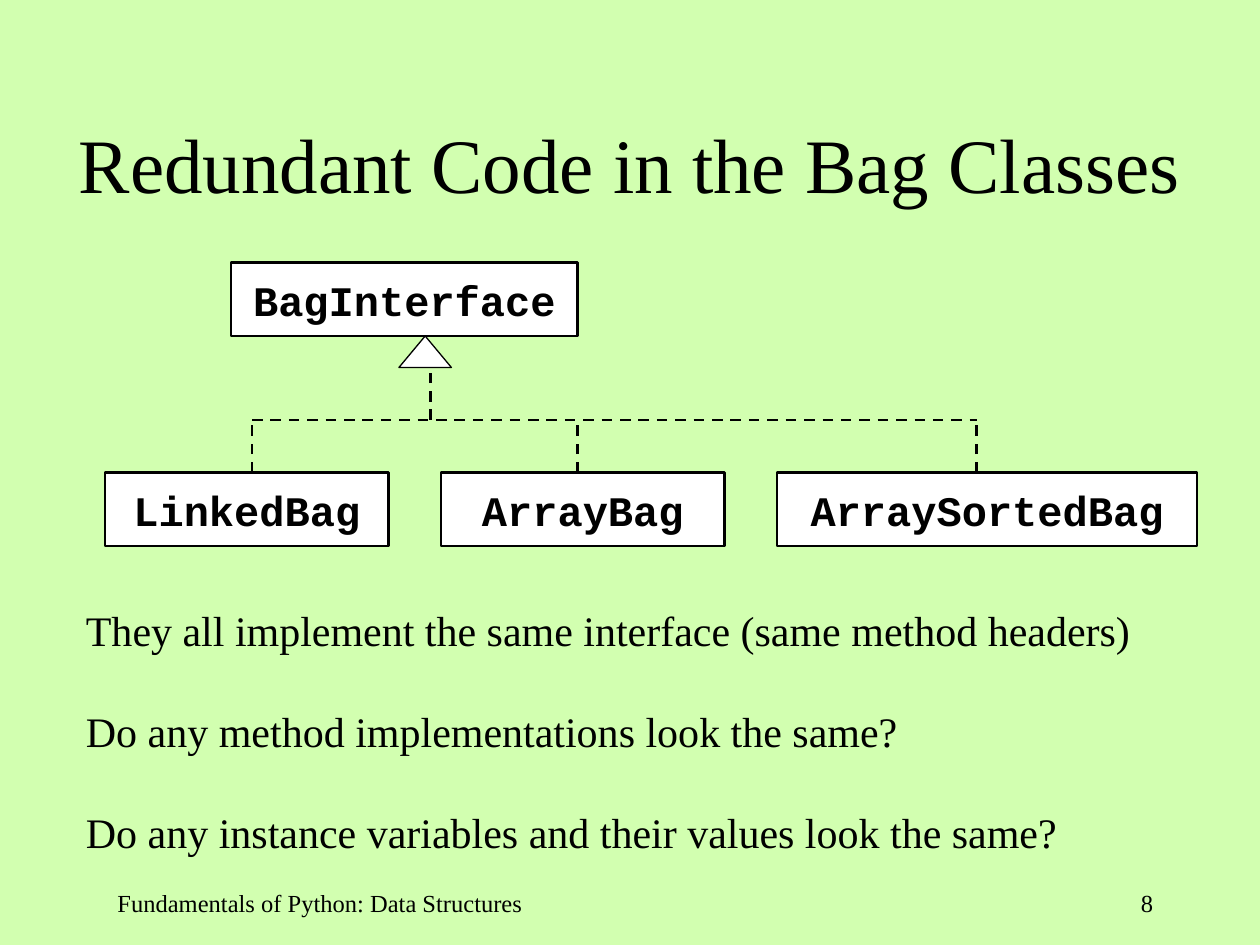
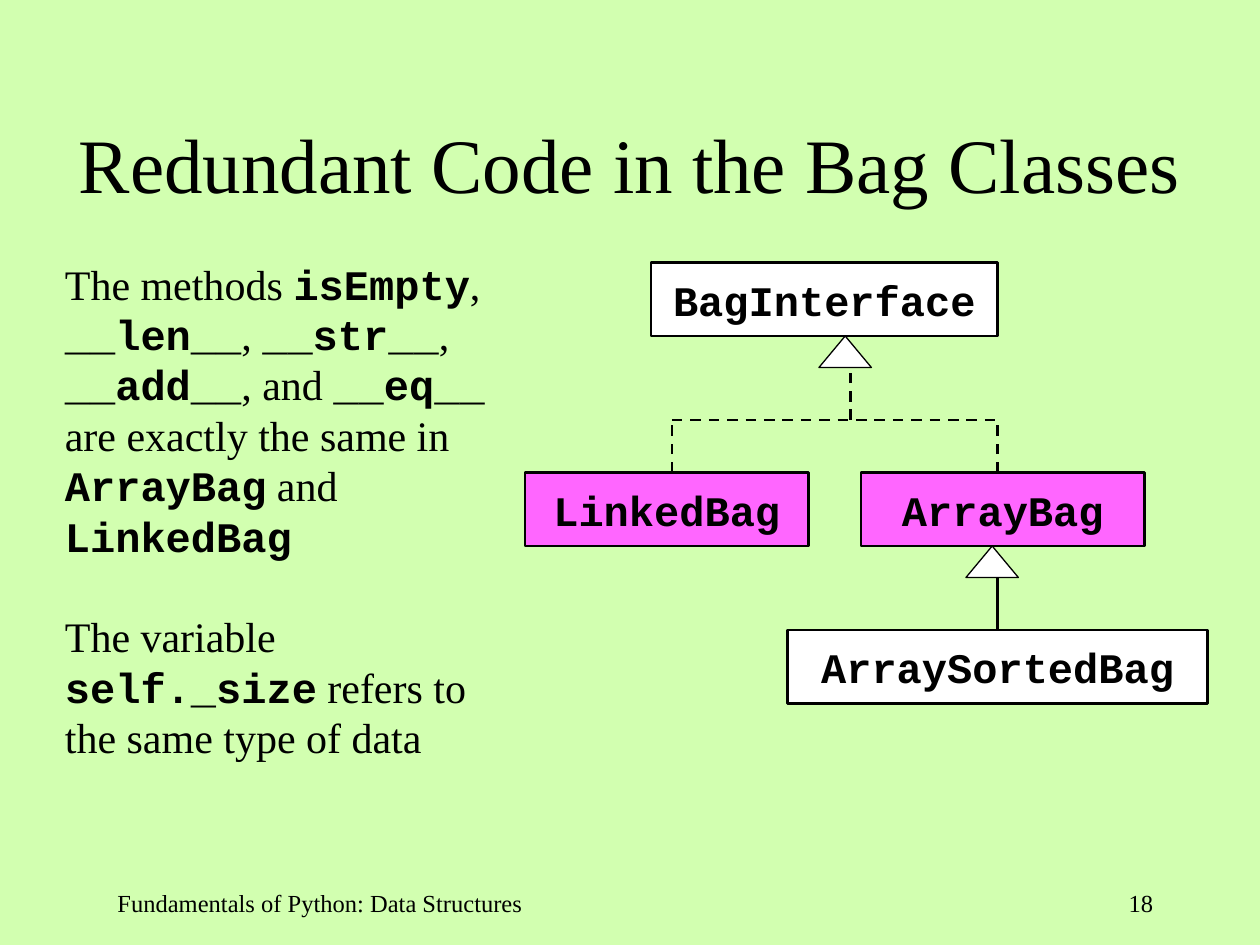
import pptx
import pptx.dml.color
import pptx.enum.dml
import pptx.enum.shapes
import pptx.enum.text
import pptx.oxml.ns
import pptx.util
import lxml.etree

COLUMNS, ROWS = 120, 90
WIDTH, HEIGHT = pptx.util.Inches(10), pptx.util.Inches(7.5)
BACKGROUND, INK, PAPER, HIGHLIGHT = "D2FFB0", "000000", "FFFFFF", "FF66FF"
SERIF, MONOSPACE = "Times New Roman", "Courier New"
LINE_HEIGHT = 1.2
TITLE = "Redundant Code in the Bag Classes"
FOOTER = "Fundamentals of Python: Data Structures"
ALIGN = pptx.enum.text.PP_ALIGN
MIDDLE = pptx.enum.text.MSO_ANCHOR.MIDDLE
SHAPES = pptx.enum.shapes.MSO_SHAPE

CLASS_HEIGHT = 7
INTERFACE_ROW, BUS_ROW, CLASS_ROW = 25, 40, 45
ARROW_WIDTH, ARROW_HEIGHT = 5, 3


def color(value):
    """Turn a hex string into a colour."""
    return pptx.dml.color.RGBColor.from_string(value)


def place(column, row):
    """Turn a grid position or a grid size into lengths."""
    return round(WIDTH * column / COLUMNS), round(HEIGHT * row / ROWS)


def write(shape, text, size=24, align=ALIGN.LEFT, anchor=None, wrap=True, gap=0):
    """Write paragraphs split at line ends, with code between backticks."""
    frame = shape.text_frame
    frame.word_wrap = wrap
    if anchor is not None:
        frame.vertical_anchor = anchor
    for index, line in enumerate(text.split("\n")):
        paragraph = frame.add_paragraph() if index else frame.paragraphs[0]
        paragraph.alignment = align
        paragraph.line_spacing = pptx.util.Pt(size * LINE_HEIGHT)
        paragraph.space_before = pptx.util.Pt(gap if index else 0)
        for part, words in enumerate(line.split("`")):
            if words:
                is_code = part % 2 == 1
                run = paragraph.add_run()
                run.text = words
                run.font.name = MONOSPACE if is_code else SERIF
                run.font.bold = is_code
                run.font.size = pptx.util.Pt(size)
                run.font.color.rgb = color(INK)


def add_text(slide, column, row, columns, rows, text, **text_format):
    """Add a text box on the grid."""
    box = slide.shapes.add_textbox(*place(column, row), *place(columns, rows))
    write(box, text, **text_format)


def add_outlined(slide, kind, column, row, columns, rows, fill=PAPER, weight=1.5):
    """Add a filled shape with a black outline."""
    shape = slide.shapes.add_shape(kind, *place(column, row), *place(columns, rows))
    shape.shadow.inherit = False
    shape.fill.solid()
    shape.fill.fore_color.rgb = color(fill)
    shape.line.color.rgb = color(INK)
    shape.line.width = pptx.util.Pt(weight)
    return shape


def add_class(slide, name, column, row, columns=27, fill=PAPER):
    """Add a class box with its name in code type."""
    box = add_outlined(slide, SHAPES.RECTANGLE, column, row, columns, CLASS_HEIGHT, fill)
    write(box, f"`{name}`", align=ALIGN.CENTER, anchor=MIDDLE, wrap=False)


def add_line(slide, start, end, dashed=True):
    """Add a straight line between two grid points."""
    line = slide.shapes.add_connector(
        pptx.enum.shapes.MSO_CONNECTOR.STRAIGHT, *place(*start), *place(*end))
    line.line.color.rgb = color(INK)
    line.line.width = pptx.util.Pt(1.5)
    if dashed:
        line.line.dash_style = pptx.enum.dml.MSO_LINE.DASH
    properties = line._element.spPr
    lxml.etree.SubElement(properties, pptx.oxml.ns.qn("a:effectLst"))


def add_inheritance(slide, column, parent_row, end_row, dashed=True):
    """Add a hollow arrowhead under a parent class and the stem below it."""
    head_row = parent_row + CLASS_HEIGHT
    add_line(slide, (column, end_row), (column, head_row + ARROW_HEIGHT), dashed)
    add_outlined(slide, SHAPES.ISOSCELES_TRIANGLE, column - 3, head_row,
                 ARROW_WIDTH, ARROW_HEIGHT, weight=0.75)


def add_hierarchy(slide, left, stems, fill=PAPER):
    """Add the interface, its two bag classes and the dashed lines to the stems."""
    add_line(slide, (stems[0], BUS_ROW), (stems[-1], BUS_ROW))
    for stem in stems:
        add_line(slide, (stem, CLASS_ROW), (stem, BUS_ROW))
    add_inheritance(slide, left + 31, INTERFACE_ROW, BUS_ROW)
    add_class(slide, "BagInterface", left + 12, INTERFACE_ROW, columns=33)
    add_class(slide, "LinkedBag", left, CLASS_ROW, fill=fill)
    add_class(slide, "ArrayBag", left + 32, CLASS_ROW, fill=fill)


def add_titled_slide(presentation, number):
    """Add a slide with the shared title, footer and slide number."""
    slide = presentation.slides.add_slide(presentation.slide_layouts[5])
    title = slide.shapes.title
    title.left, title.top = place(0, 8)
    title.width, title.height = place(COLUMNS, 15)
    write(title, TITLE, size=44, align=ALIGN.CENTER, anchor=MIDDLE)
    add_text(slide, 10, 84, 45, 6, FOOTER, size=14)
    add_text(slide, 86, 84, 25, 6, str(number), size=14, align=ALIGN.RIGHT)
    return slide


def add_interface_slide(presentation):
    """Show three classes that implement one interface."""
    slide = add_titled_slide(presentation, 8)
    add_hierarchy(slide, 10, [24, 55, 93])
    add_class(slide, "ArraySortedBag", 74, CLASS_ROW, columns=40)
    add_text(slide, 7, 57, 108, 25,
             "They all implement the same interface (same method headers)\n"
             "Do any method implementations look the same?\n"
             "Do any instance variables and their values look the same?", gap=28.8)


def add_redundancy_slide(presentation):
    """Show the two classes that share methods, and the sorted subclass."""
    slide = add_titled_slide(presentation, 18)
    add_hierarchy(slide, 50, [64, 95], fill=HIGHLIGHT)
    add_class(slide, "ArraySortedBag", 75, 60, columns=40)
    add_inheritance(slide, 95, CLASS_ROW, 60, dashed=False)
    methods = ("The methods `isEmpty`, `__len__`, `__str__`, `__add__`, and `__eq__` "
               "are exactly the same in `ArrayBag` and `LinkedBag`")
    variable = "The variable `self._size` refers to the same type of data"
    add_text(slide, 5, 24, 44, 49, f"{methods}\n{variable}", gap=28.8)


def main():
    """Build and save the presentation."""
    presentation = pptx.Presentation()
    presentation.slide_width, presentation.slide_height = WIDTH, HEIGHT
    background = presentation.slide_master.background.fill
    background.solid()
    background.fore_color.rgb = color(BACKGROUND)
    add_interface_slide(presentation)
    add_redundancy_slide(presentation)
    presentation.save("out.pptx")


if __name__ == "__main__":
    main()
